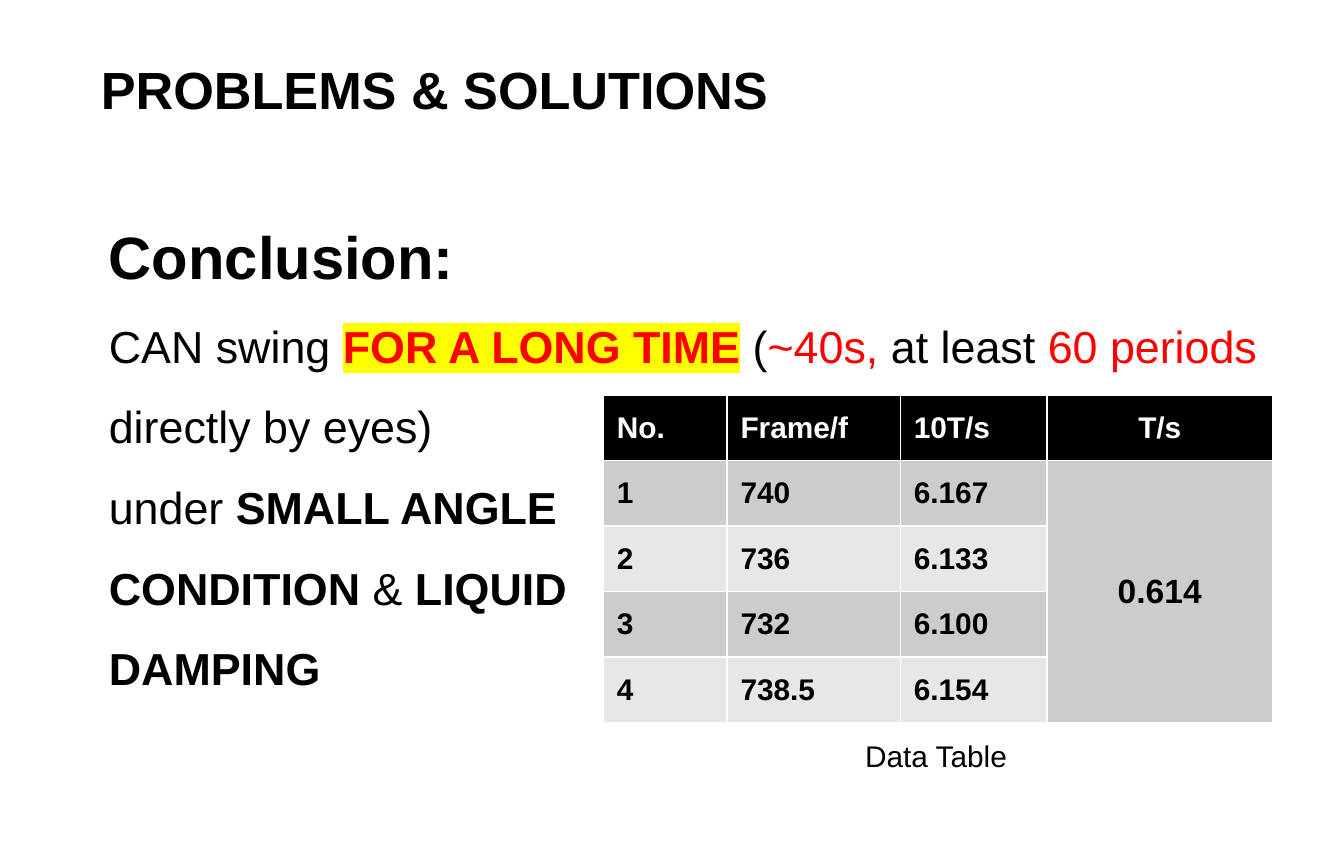
"""Build the conclusion slide with its table of swing periods."""
from dataclasses import dataclass

from lxml import etree
from pptx import Presentation
from pptx.dml.color import RGBColor
from pptx.enum import text as t
from pptx.oxml import ns
from pptx.util import Inches, Pt


@dataclass(frozen=True)
class Theme:
    """Hold the colours, font and type sizes."""
    font: str = "Arial"
    black: str = "000000"
    white: str = "FFFFFF"
    red: str = "FF0000"
    yellow: str = "FFFF00"
    dark: str = "CCCCCC"
    light: str = "E7E7E7"
    head: int = 32
    title: int = 28
    body: int = 24
    mean: int = 18
    small: int = 16


THEME = Theme()
MARK = {"color": THEME.red, "bold": True, "glow": THEME.yellow}
RED = {"color": THEME.red}
BOLD = {"bold": True}
LINES = [
    [("Conclusion:", {"size": THEME.head, "bold": True})],
    [("CAN swing ", {}), ("FOR A LONG TIME", MARK), (" (", {}), ("~40s, ", RED),
     ("at least", {}), (" 60 periods ", RED), ("directly by eyes)", {})],
    [("under", {}), (" SMALL ANGLE", BOLD)],
    [("CONDITION ", BOLD), ("&", {}), (" LIQUID", BOLD)],
    [("DAMPING", BOLD)],
]
ROWS = [
    ("No.", "Frame/f", "10T/s", "T/s"),
    ("1", "740", "6.167", "0.614"),
    ("2", "736", "6.133"),
    ("3", "732", "6.100"),
    ("4", "738.5", "6.154"),
]
WIDTHS = (0.92, 1.29, 1.09, 1.68)


def write(par, words, size=THEME.body, color=THEME.black, bold=False, glow=None):
    """Add a formatted run to a paragraph."""
    run = par.add_run()
    run.text = words
    font = run.font
    font.name, font.size, font.bold = THEME.font, Pt(size), bold
    font.color.rgb = RGBColor.from_string(color)
    if glow:
        mark = etree.Element(ns.qn("a:highlight"))
        etree.SubElement(mark, ns.qn("a:srgbClr"), val=glow)
        run._r.rPr.find(ns.qn("a:solidFill")).addnext(mark)


def place(shape, left, top, width, height):
    """Move a shape and return its wrapped, top-anchored text frame."""
    shape.left, shape.top = Inches(left), Inches(top)
    shape.width, shape.height = Inches(width), Inches(height)
    frame = shape.text_frame
    frame.word_wrap = True
    frame.auto_size = t.MSO_AUTO_SIZE.NONE
    frame.vertical_anchor = t.MSO_ANCHOR.TOP
    return frame


def add_title(slide):
    """Fill the title placeholder."""
    frame = place(slide.shapes.title, 0.75, 0.33, 5.28, 0.51)
    frame.margin_left = frame.margin_right = 0
    frame.margin_top = frame.margin_bottom = 0
    par = frame.paragraphs[0]
    par.alignment, par.line_spacing = t.PP_ALIGN.JUSTIFY, 1.2
    write(par, "PROBLEMS & SOLUTIONS", size=THEME.title, bold=True)


def add_body(slide):
    """Fill the body placeholder with unbulleted lines."""
    frame = place(slide.placeholders[1], 0.71, 1.32, 8.77, 4.47)
    for i, line in enumerate(LINES):
        par = frame.add_paragraph() if i else frame.paragraphs[0]
        par.line_spacing, par.space_before = 1.5, Pt(0)
        props = par._p.get_or_add_pPr()
        props.set("marL", "0")
        props.set("indent", "0")
        etree.SubElement(props, ns.qn("a:buNone"))
        for words, form in line:
            write(par, words, **form)


def add_data(slide):
    """Add the table, with the mean period merged down the last column."""
    table = slide.shapes.add_table(
        len(ROWS), len(WIDTHS), Inches(4.49), Inches(2.94),
        Inches(sum(WIDTHS)), Inches(2.44)).table
    for col, width in zip(table.columns, WIDTHS):
        col.width = Inches(width)
    last = len(WIDTHS) - 1
    table.cell(1, last).merge(table.cell(len(ROWS) - 1, last))
    for r, row in enumerate(ROWS):
        shade = (THEME.dark if r % 2 else THEME.light) if r else THEME.black
        for c, words in enumerate(row):
            cell = table.cell(r, c)
            cell.fill.solid()
            cell.fill.fore_color.rgb = RGBColor.from_string(shade)
            cell.vertical_anchor = t.MSO_ANCHOR.MIDDLE
            par = cell.text_frame.paragraphs[0]
            if c == last:
                par.alignment = t.PP_ALIGN.CENTER
            write(par, words, bold=True,
                  size=THEME.mean if r and c == last else THEME.small,
                  color=THEME.black if r else THEME.white)


def add_label(slide):
    """Add the caption under the table."""
    spot = [6.18, 5.39, 1.57, 0.39]
    box = slide.shapes.add_textbox(*map(Inches, spot))
    par = place(box, *spot).paragraphs[0]
    par.alignment, par.line_spacing = t.PP_ALIGN.CENTER, 1.2
    write(par, "Data Table", size=THEME.small)


def main():
    """Build and save the slide."""
    deck = Presentation()
    deck.slide_width, deck.slide_height = Inches(10), Inches(6.26)
    slide = deck.slides.add_slide(deck.slide_layouts[1])
    add_body(slide)
    add_data(slide)
    add_title(slide)
    add_label(slide)
    deck.save("out.pptx")


if __name__ == "__main__":
    main()
